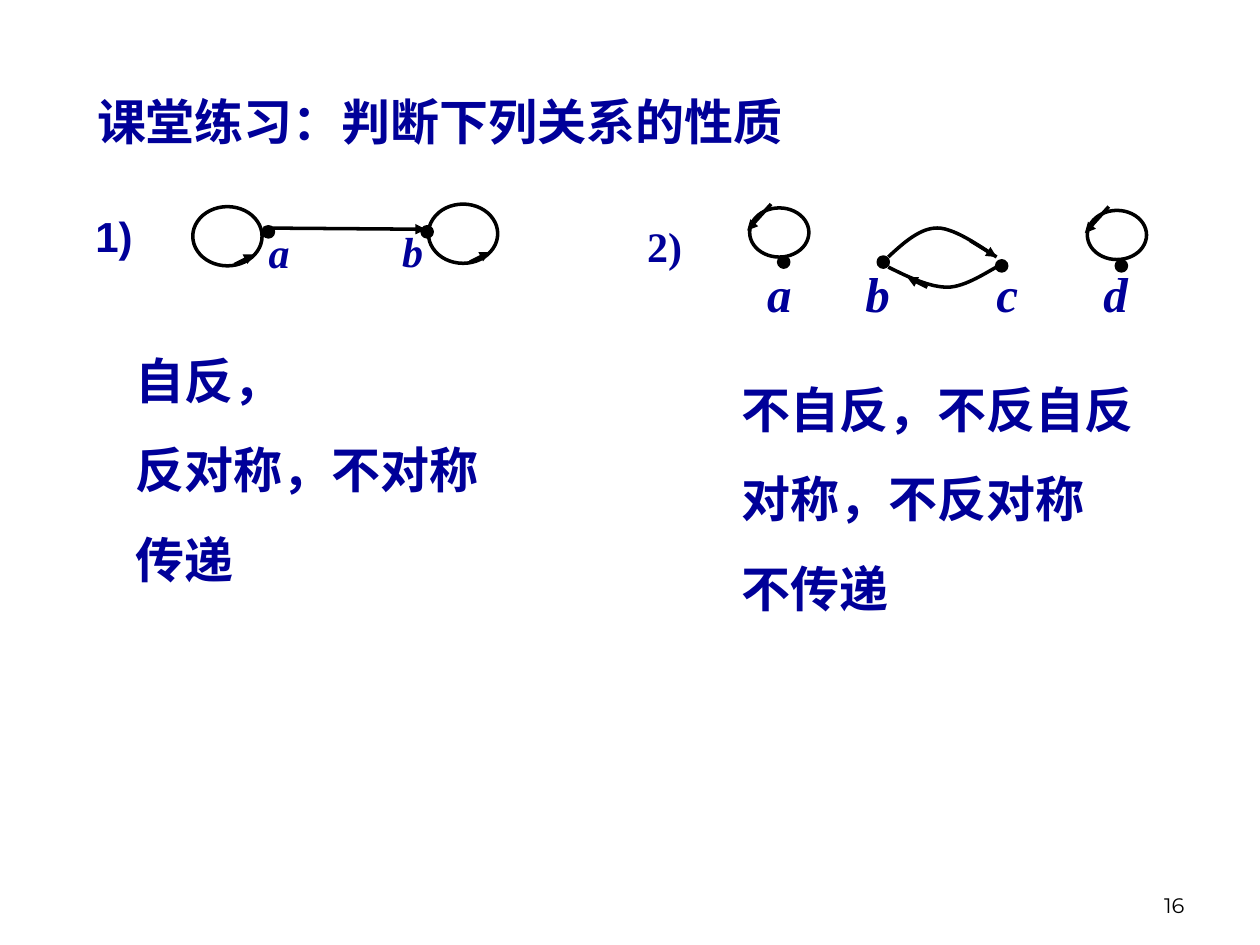
from lxml import etree
from pptx import Presentation
from pptx.dml.color import RGBColor
from pptx.enum.shapes import MSO_CONNECTOR, MSO_SHAPE
from pptx.enum.text import MSO_ANCHOR, PP_ALIGN
from pptx.oxml.ns import qn
from pptx.util import Inches, Pt

LEFT, CENTER, RIGHT = PP_ALIGN.LEFT, PP_ALIGN.CENTER, PP_ALIGN.RIGHT
TOP, BOTTOM = MSO_ANCHOR.TOP, MSO_ANCHOR.BOTTOM
OVAL, STRAIGHT = MSO_SHAPE.OVAL, MSO_CONNECTOR.STRAIGHT
SERIF = "Times New Roman"


def rgb(value):
    """Turn a hex string into a colour."""
    return RGBColor.from_string(value)


def write(tf, text, size=28, font="Arial", color="000099", bold=True,
          italic=False, align=LEFT, anchor=TOP, gap=17.5):
    """Fill a text frame, one paragraph for each line of text."""
    tf.word_wrap = True
    tf.vertical_anchor = anchor
    for i, line in enumerate(text.split("\n")):
        p = tf.add_paragraph() if i else tf.paragraphs[0]
        p.alignment = align
        p.space_before = Pt(gap if i else 0)
        r = p.add_run()
        r.text = line
        r.font.size, r.font.name = Pt(size), font
        r.font.bold, r.font.italic = bold, italic
        r.font.color.rgb = rgb(color)


def bezier(p0, p1, p2, p3, steps=16):
    """Return points along a cubic curve, without its start."""
    return [tuple((1 - t) ** 3 * a + 3 * (1 - t) ** 2 * t * b
                  + 3 * (1 - t) * t ** 2 * c + t ** 3 * d
                  for a, b, c, d in zip(p0, p1, p2, p3))
            for t in (n / steps for n in range(1, steps + 1))]


class Board:
    """Hold the drawing style and the current slide."""

    def __init__(self, slide, ink="000000", weight=2):
        """Keep the slide and the line style."""
        self.s, self.ink, self.weight = slide, ink, weight

    def outline(self, sp):
        """Give a shape or connector the common line."""
        sp.line.color.rgb = rgb(self.ink)
        sp.line.width = Pt(self.weight)

    def title(self, text, x, y, w, h):
        """Place and format the title."""
        sp = self.s.shapes.title
        sp.left, sp.top, sp.width, sp.height = map(Inches, (x, y, w, h))
        write(sp.text_frame, text)

    def text(self, text, x, y, w, h, **style):
        """Add a text box."""
        sp = self.s.shapes.add_textbox(*map(Inches, (x, y, w, h)))
        write(sp.text_frame, text, **style)

    def oval(self, x, y, w, h, filled=False):
        """Add an ellipse."""
        sp = self.s.shapes.add_shape(OVAL, *map(Inches, (x, y, w, h)))
        sp.shadow.inherit = False
        if filled:
            sp.fill.solid()
            sp.fill.fore_color.rgb = rgb(self.ink)
        else:
            sp.fill.background()
        self.outline(sp)

    def dot(self, x, y):
        """Add a graph node."""
        self.oval(x, y, 0.08, 0.08, filled=True)

    def arrow(self, x1, y1, x2, y2):
        """Add a straight arrow."""
        sp = self.s.shapes.add_connector(STRAIGHT, *map(Inches, (x1, y1, x2, y2)))
        self.outline(sp)
        etree.SubElement(sp.line._get_or_add_ln(), qn("a:tailEnd"), type="triangle")
        etree.SubElement(sp._element.spPr, qn("a:effectLst"))

    def curve(self, start, *segments):
        """Add an open curve made of cubic segments."""
        points = [start]
        for segment in segments:
            points += bezier(points[-1], *segment)
        points = [(Inches(x), Inches(y)) for x, y in points]
        fb = self.s.shapes.build_freeform(*points[0])
        fb.add_line_segments(points[1:], close=False)
        sp = fb.convert_to_shape()
        sp.shadow.inherit = False
        sp.fill.background()
        self.outline(sp)


def first_graph(board):
    """Draw relation 1 with its answer."""
    for x in (2.09, 3.35):
        board.dot(x, 1.8)
    board.arrow(2.09, 1.81, 3.38, 1.82)
    for x, y in ((1.53, 1.64), (3.4, 1.62)):
        board.oval(x, y, 0.55, 0.47)
        board.arrow(x + 0.33, y + 0.46, x + 0.49, y + 0.38)
    for name, x, y, w in (("a", 1.9, 1.75, 0.63), ("b", 2.92, 1.74, 0.71)):
        board.text(name, x, y, w, 0.5, size=24, font=SERIF, italic=True, align=CENTER)
    board.text("1)", 0.51, 1.62, 0.79, 0.5, size=24, align=CENTER)
    board.text("自反，\n反对称，不对称\n传递", 0.98, 2.73, 3.15, 1.99)


def second_graph(board):
    """Draw relation 2 with its answer."""
    board.text("2)", 4.92, 1.7, 0.71, 0.5, size=24, font=SERIF, align=CENTER)
    for x, y in ((6.18, 2.04), (6.97, 2.04), (7.91, 2.07), (8.86, 2.07)):
        board.dot(x, y)
    for x, y in ((5.95, 1.65), (8.63, 1.67)):
        board.oval(x, y, 0.47, 0.39)
        board.arrow(x + 0.17, y - 0.03, x - 0.02, y + 0.18)
    board.curve((7.05, 2.04), ((7.17, 1.93), (7.3, 1.81), (7.44, 1.81)),
                ((7.59, 1.81), (7.84, 2), (7.91, 2.04)))
    board.curve((7.05, 2.12), ((7.21, 2.2), (7.38, 2.28), (7.52, 2.28)),
                ((7.66, 2.28), (7.85, 2.15), (7.91, 2.12)))
    board.arrow(7.7, 1.91, 7.91, 2.04)
    board.arrow(7.36, 2.28, 7.2, 2.2)
    for name, x in zip("abcd", (5.87, 6.65, 7.68, 8.54)):
        board.text(name, x, 2.04, 0.63, 0.57, font=SERIF, italic=True, align=CENTER)
    board.text("不自反，不反自反\n对称，不反对称\n不传递", 5.79, 2.96, 3.62, 1.99)


def main():
    """Build and save the slide."""
    prs = Presentation()
    prs.slide_width, prs.slide_height = Inches(10), Inches(7.5)
    board = Board(prs.slides.add_slide(prs.slide_layouts[5]))
    board.title("课堂练习：判断下列关系的性质", 0.67, 0.68, 7.87, 0.57)
    first_graph(board)
    second_graph(board)
    board.text("16", 7.17, 6.83, 2.33, 0.5, size=12, font="Montserrat",
               color="000000", bold=False, align=RIGHT, anchor=BOTTOM)
    prs.save("out.pptx")


if __name__ == "__main__":
    main()
